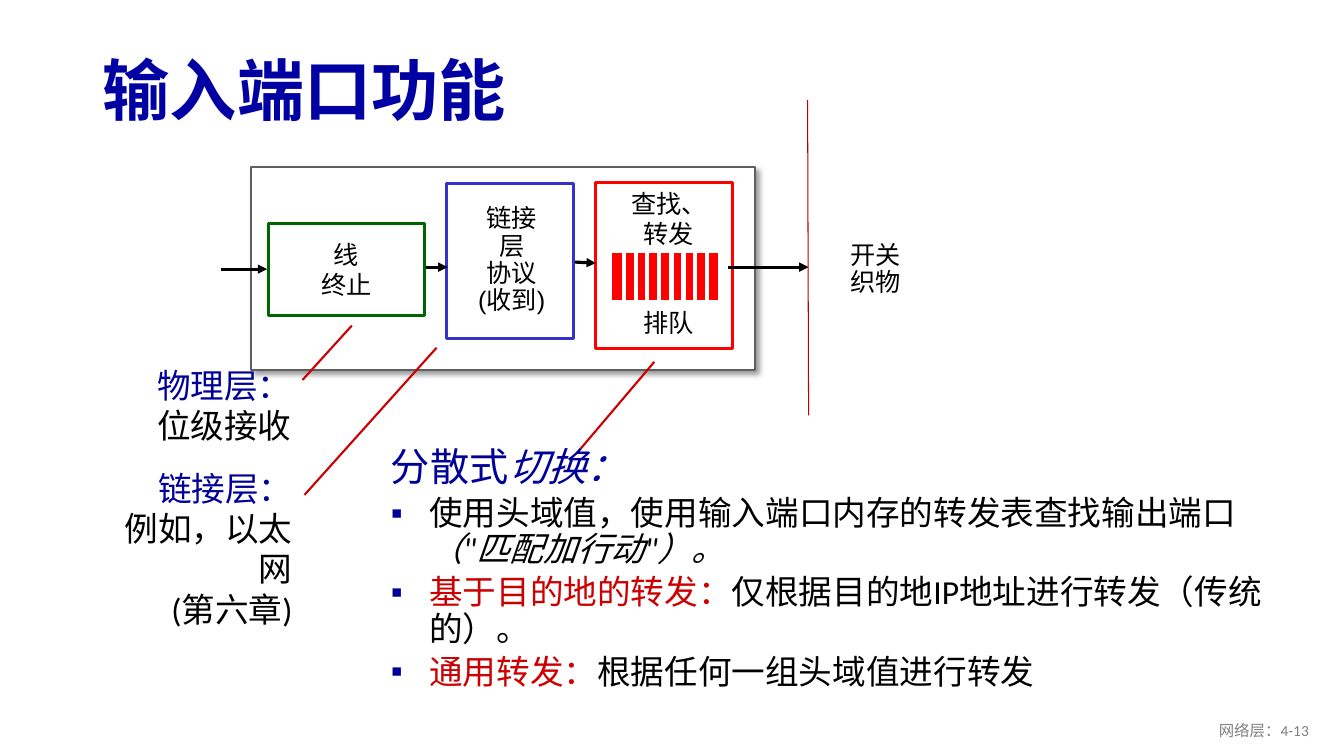
from dataclasses import dataclass

from lxml.etree import SubElement
from pptx import Presentation
from pptx.dml.color import RGBColor as RGB
from pptx.enum.shapes import MSO_CONNECTOR as LINE, MSO_SHAPE as SHAPE
from pptx.enum.text import MSO_ANCHOR as ANCHOR, PP_ALIGN as ALIGN
from pptx.oxml.ns import qn
from pptx.util import Emu, Pt

SCALE = 9144


@dataclass(frozen=True)
class Theme:
    title: str = "0000A3"
    heading: str = "000099"
    accent: str = "CC0000"
    fabric: str = "C00000"
    ink: str = "000000"
    paper: str = "FFFFFF"
    frame: str = "5F5F5F"
    line_end: str = "006600"
    protocol: str = "3333CC"
    lookup: str = "FF0000"
    footer: str = "808080"
    body_font: str = "Calibri"
    label_font: str = "Arial"
    title_size: int = 48
    lead_size: int = 28
    body_size: int = 24
    label_size: int = 18
    footer_size: int = 11


def px(length):
    return Emu(length * SCALE)


def assign(target, values):
    for name, value in values.items():
        setattr(target, name, value)


class PortSlide:
    """Draws themed elements on one slide, with lengths in px."""

    def __init__(self, deck, theme):
        self.theme = theme
        self.slide = deck.slides.add_slide(deck.slide_layouts[6])

    def typeset(self, frame, paragraphs, size, font, align=ALIGN.LEFT, anchor=ANCHOR.TOP,
                spacing=None, bold=None):
        assign(frame, {"word_wrap": True, "vertical_anchor": anchor})
        lines = []
        for number, runs in enumerate(paragraphs):
            paragraph = frame.add_paragraph() if number else frame.paragraphs[0]
            assign(paragraph, {"alignment": align, "line_spacing": spacing})
            for content, color, *italic in runs:
                run = paragraph.add_run()
                run.text = content
                assign(run.font, {"size": Pt(size), "name": font, "bold": bold,
                                  "italic": bool(italic)})
                run.font.color.rgb = RGB.from_string(color)
            lines.append(paragraph)
        return lines

    def text(self, place, paragraphs, size, **style):
        style.setdefault("font", self.theme.body_font)
        frame = self.slide.shapes.add_textbox(*map(px, place)).text_frame
        return self.typeset(frame, paragraphs, size, **style)

    def label(self, place, lines, **style):
        runs = [[(line, self.theme.ink)] for line in lines]
        return self.text(place, runs, self.theme.label_size, font=self.theme.label_font,
                         align=ALIGN.CENTER, **style)

    def box(self, place, outline, width=2.25, fill=None):
        shape = self.slide.shapes.add_shape(SHAPE.RECTANGLE, *map(px, place))
        shape.shadow.inherit = False
        if fill:
            shape.fill.solid()
            shape.fill.fore_color.rgb = RGB.from_string(fill)
        else:
            shape.fill.background()
        shape.line.color.rgb = RGB.from_string(outline)
        shape.line.width = Pt(width)
        return shape

    def shadow(self, shape):
        effects = shape._element.spPr.find(qn("a:effectLst"))
        cast = SubElement(effects, qn("a:outerShdw"), blurRad=str(Pt(4)), dist=str(Pt(3)),
                          dir="2700000", algn="tl", rotWithShape="0")
        color = SubElement(cast, qn("a:srgbClr"), val=self.theme.ink)
        SubElement(color, qn("a:alpha"), val="40000")

    def line(self, ends, color, width, arrow=False):
        stroke = self.slide.shapes.add_connector(LINE.STRAIGHT, *map(px, ends))
        stroke.line.width = Pt(width)
        stroke.line.color.rgb = RGB.from_string(color)
        if arrow:
            SubElement(stroke._element.spPr.find(qn("a:ln")), qn("a:tailEnd"),
                       type="triangle")
        SubElement(stroke._element.spPr, qn("a:effectLst"))

    def arrow(self, ends):
        self.line(ends, self.theme.ink, 2.25, arrow=True)

    def bullets(self, place, lead, points):
        theme = self.theme
        heading, *rest = self.text(place, [lead, *points], theme.body_size, spacing=0.9)
        for run in heading.runs:
            run.font.size = Pt(theme.lead_size)
        for paragraph in (heading, *rest):
            properties = paragraph._p.get_or_add_pPr()
            properties.set("marL", str(px(38)))
            properties.set("indent", str(px(-38)))
        for paragraph in rest:
            paragraph.space_before = Pt(4.8)
            properties = paragraph._p.get_or_add_pPr()
            SubElement(SubElement(properties, qn("a:buClr")), qn("a:srgbClr"),
                       val=theme.heading)
            SubElement(properties, qn("a:buFont"), typeface=theme.label_font)
            SubElement(properties, qn("a:buChar"), char="▪")


def build(deck, theme):
    port = PortSlide(deck, theme)
    paper, ink, heading, accent = theme.paper, theme.ink, theme.heading, theme.accent

    port.text((92, 44, 1150, 98), [[("输入端口功能", theme.title)]], theme.title_size,
              anchor=ANCHOR.MIDDLE, spacing=0.9, bold=True)

    port.shadow(port.box((249, 166, 500, 201), theme.frame, 1.5, paper))
    termination = port.box((266, 222, 155, 91), theme.line_end, fill=paper)
    port.typeset(termination.text_frame, [[("线", ink)], [("终止", ink)]], theme.label_size,
                 theme.label_font, ALIGN.CENTER, ANCHOR.MIDDLE)
    port.box((591, 181, 136, 165), theme.lookup, fill=paper)
    for ends in ((219, 267, 265, 267), (570, 260, 591, 261), (722, 265, 802, 265)):
        port.arrow(ends)
    queueing = port.label((595, 182, 137, 160), ["查找、", "转发", "排队"])[-1]
    queueing.space_before = Pt(42)

    port.bullets(
        (378, 439, 896, 292),
        [("分散式", heading), ("切换：", heading, True)],
        [[("使用头域值，使用输入端口内存的转发表查找输出端口", ink),
          ("（\"匹配加行动\"）。", ink, True)],
         [("基于目的地的转发：", accent), ("仅根据目的地IP地址进行转发（传统的）。", ink)],
         [("通用转发：", accent), ("根据任何一组头域值进行转发", ink)]])
    port.text((28, 357, 271, 91), [[("物理层：", heading)], [("位级接收", ink)]],
              theme.body_size, align=ALIGN.RIGHT)

    port.line((801, 99, 802, 412), theme.fabric, 0.75)
    port.label((811, 222, 115, 91), ["开关", "织物"], anchor=ANCHOR.MIDDLE, spacing=0.9)

    port.box((605, 249, 109, 51), paper, 3, theme.lookup)
    for slot in range(8):
        x = round(619 + 11.7 * slot)
        port.line((x, 250, x, 299), paper, 3)

    port.label((450, 213, 115, 91), ["链接", "层", "协议", "(收到)"],
               anchor=ANCHOR.MIDDLE, spacing=0.9)
    port.box((443, 182, 126, 154), theme.protocol)
    port.arrow((423, 265, 444, 265))
    port.text((95, 459, 205, 131),
              [[("链接层：", heading)], [("例如，以太网", ink)], [("(第六章)", ink)]],
              theme.body_size, align=ALIGN.RIGHT)
    for pointer in ((300, 377, 349, 323), (576, 445, 649, 359), (302, 491, 433, 345)):
        port.line(pointer, accent, 1.5)

    port.text((1008, 705, 300, 40), [[("网络层：4-13", theme.footer)]], theme.footer_size,
              align=ALIGN.RIGHT, anchor=ANCHOR.MIDDLE)


def main():
    deck = Presentation()
    assign(deck, {"slide_width": px(1333), "slide_height": px(750)})
    build(deck, Theme())
    deck.save("out.pptx")


if __name__ == "__main__":
    main()
